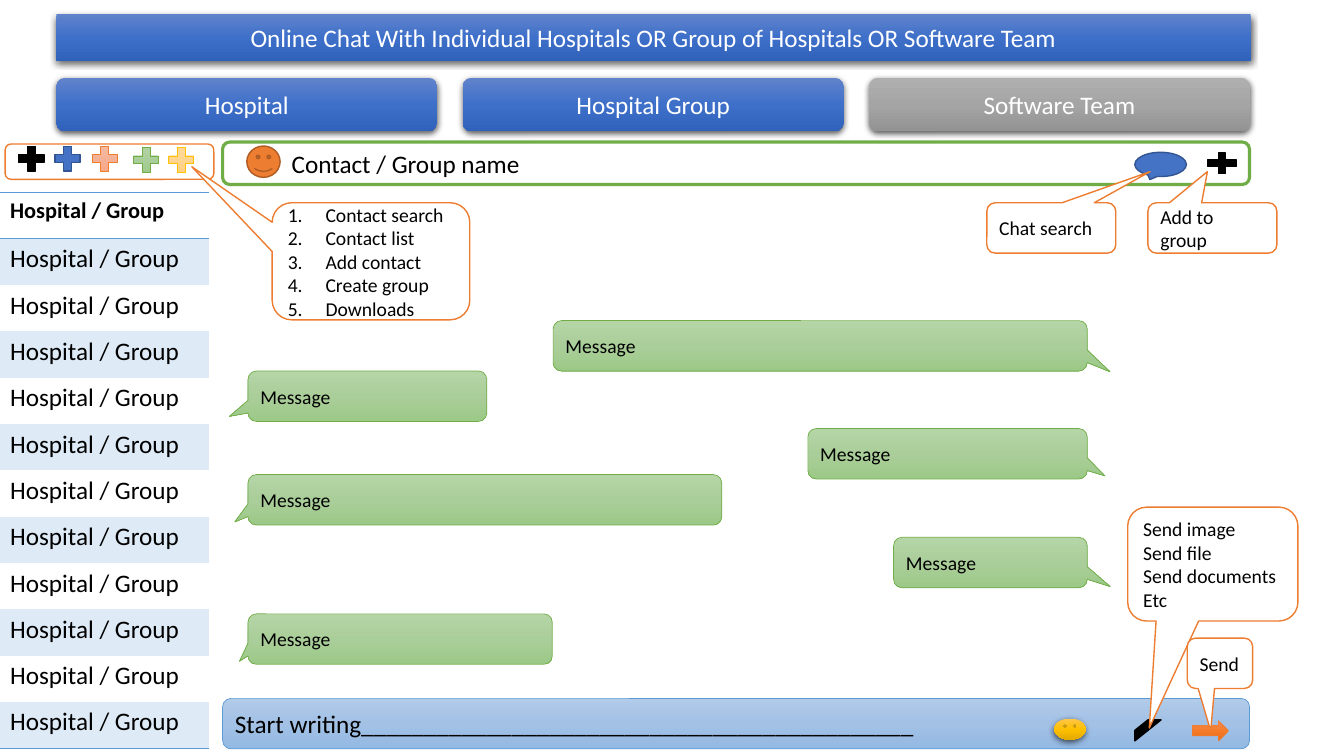
from copy import deepcopy

from lxml.etree import SubElement
from pptx import Presentation
from pptx.dml.color import RGBColor
from pptx.enum.shapes import MSO_SHAPE as SHAPE
from pptx.enum.text import MSO_ANCHOR as ANCHOR, PP_ALIGN as ALIGN
from pptx.oxml import parse_xml
from pptx.oxml.ns import nsdecls, qn
from pptx.util import Cm, Pt

rgb = RGBColor.from_string
BLACK, WHITE = rgb("000000"), rgb("FFFFFF")
ORANGE, DARK_ORANGE = rgb("ED7D31"), rgb("AF5C24")
BLUE, DARK_BLUE = rgb("4472C4"), rgb("325491")
SKY, PALE_SKY = rgb("5B9BD5"), rgb("DEEBF7")
GREEN, GOLD = rgb("70AD47"), rgb("FFC000")

# Three-stop gradients, top to bottom
BLUE_GRAD = (rgb("6183CB"), rgb("3E70CA"), rgb("3062BB"))
GREY_GRAD = (rgb("AFAFAF"), rgb("A5A5A5"), rgb("939393"))
SKY_GRAD = (rgb("B1CBE9"), rgb("A3C1E5"), rgb("93B9E4"))
GREEN_GRAD = (rgb("B5D5A7"), rgb("AACE9A"), rgb("9CC987"))
ORANGE_GRAD = (rgb("F18C57"), rgb("F67B28"), rgb("E56C19"))
PEACH_GRAD = (rgb("F7BDA5"), rgb("F5B196"), rgb("F8A582"))
GOLD_GRAD = (rgb("FFC64B"), rgb("FFC000"), rgb("E3AB00"))
CREAM_GRAD = (rgb("FFDB9E"), rgb("FFD590"), rgb("FFD07C"))

FONT = "Calibri"
BAR_LEFT, BAR_WIDTH = 5.61, 25.88
MESSAGE_LEFT, MESSAGE_RIGHT = 6.25, 27.4


def paint(sp, fill, line=None, width=1):
    """Fill a shape with a colour or gradient; without a line it gets a shadow."""
    if isinstance(fill, RGBColor):
        sp.fill.solid()
        sp.fill.fore_color.rgb = fill
    else:
        sp.fill.gradient()
        sp.fill.gradient_angle = 270
        stops = sp._element.spPr.find(".//" + qn("a:gsLst"))
        stops.insert(1, deepcopy(stops[0]))
        for stop, position, color in zip(sp.fill.gradient_stops, (0, 0.5, 1), fill):
            stop.position = position
            stop.color.rgb = color
    sp.shadow.inherit = False
    if line is None:
        sp.line.fill.background()
        add_shadow(sp)
    else:
        sp.line.color.rgb = line
        sp.line.width = Pt(width)


def add_shadow(sp):
    """Put a soft shadow under a shape."""
    effects = sp._element.spPr.find(qn("a:effectLst"))
    effects.append(parse_xml(
        f'<a:outerShdw {nsdecls("a")} blurRad="57150" dist="19050" dir="5400000" '
        'algn="ctr" rotWithShape="0"><a:srgbClr val="000000">'
        '<a:alpha val="63000"/></a:srgbClr></a:outerShdw>'))


def write(sp, lines, size=14, color=BLACK, align=ALIGN.LEFT, numbered=False):
    """Write one paragraph per line into a shape."""
    tf = sp.text_frame
    tf.word_wrap = True
    tf.vertical_anchor = ANCHOR.MIDDLE
    tf.text = "\n".join(lines)
    for p in tf.paragraphs:
        p.alignment = align
        p.font.name, p.font.size, p.font.color.rgb = FONT, Pt(size), color
        if numbered:
            pPr = p._p.get_or_add_pPr()
            pPr.set("marL", str(Cm(0.95)))
            pPr.set("indent", str(-Cm(0.95)))
            pPr.insert(0, parse_xml(
                f'<a:buAutoNum {nsdecls("a")} type="arabicPeriod"/>'))


def add_shape(s, kind, box, fill, line=None, width=1):
    """Add a painted preset shape; box is left, top, width, height in cm."""
    sp = s.shapes.add_shape(kind, *map(Cm, box))
    paint(sp, fill, line, width)
    return sp


def add_title(s, text):
    """Turn the title placeholder into the rounded heading bar."""
    sp = s.shapes.title
    sp.left, sp.top, sp.width, sp.height = map(Cm, (1.42, 0.36, 30.1, 1.17))
    sp._element.spPr.insert(1, parse_xml(
        f'<a:prstGeom {nsdecls("a")} prst="roundRect"><a:avLst/></a:prstGeom>'))
    paint(sp, BLUE_GRAD)
    write(sp, [text], 18, WHITE, ALIGN.CENTER)


def add_bar(s, top, height, text, fill, line, width, margin=0.25):
    """Add a wide chat bar with left-aligned text."""
    sp = add_shape(s, SHAPE.ROUNDED_RECTANGLE, (BAR_LEFT, top, BAR_WIDTH, height),
                   fill, line, width)
    write(sp, [text], 18)
    sp.text_frame.margin_left = Cm(margin)


def add_callout(s, box, tip, lines, fill=WHITE, line=ORANGE, width=1, numbered=False):
    """Add a rounded callout whose tip is relative to its centre."""
    sp = add_shape(s, SHAPE.ROUNDED_RECTANGULAR_CALLOUT, box, fill, line, width)
    sp.adjustments[0], sp.adjustments[1] = tip
    write(sp, lines, numbered=numbered)


def add_message(s, top, width, tip, sent=False):
    """Add a chat message, at the right if sent and at the left if received."""
    left = MESSAGE_RIGHT - width if sent else MESSAGE_LEFT
    add_callout(s, (left, top, width, 1.27), tip, ["Message"], GREEN_GRAD, GREEN, 0.5)


def add_border(cell, side):
    """Draw a thin border on the T or B side of a cell."""
    ln = SubElement(cell._tc.get_or_add_tcPr(), qn(f"a:ln{side}"), w=str(Pt(1)))
    SubElement(SubElement(ln, qn("a:solidFill")), qn("a:srgbClr"), val=str(SKY))


def add_contacts(s, rows):
    """Add the banded contact list."""
    frame = s.shapes.add_table(rows, 1, 0, Cm(4.85), Cm(5.26), Cm(1.168 * rows))
    style = next(frame._element.iter(qn("a:tableStyleId")))
    style.text = "{2D5ABB26-0587-4C30-8999-92F81FD0307C}"
    table = frame.table
    table.first_row = table.horz_banding = False
    for i in range(rows):
        cell = table.cell(i, 0)
        cell.text = "Hospital / Group"
        font = cell.text_frame.paragraphs[0].font
        font.name, font.size, font.bold = FONT, Pt(18 if i else 16), i == 0
        font.color.rgb = BLACK
        if i == 0:
            add_border(cell, "T")
        if i in (0, rows - 1):
            add_border(cell, "B")
        if i % 2:
            cell.fill.solid()
            cell.fill.fore_color.rgb = PALE_SKY
        else:
            cell.fill.background()


def main():
    """Build the chat screen slide."""
    prs = Presentation()
    prs.slide_width, prs.slide_height = Cm(33.87), Cm(19.05)
    s = prs.slides.add_slide(prs.slide_layouts[5])

    add_title(s, "Online Chat With Individual Hospitals OR Group of Hospitals"
                 " OR Software Team")
    tabs = (("Hospital", BLUE_GRAD), ("Hospital Group", BLUE_GRAD),
            ("Software Team", GREY_GRAD))
    for i, (name, fill) in enumerate(tabs):
        tab = add_shape(s, SHAPE.ROUNDED_RECTANGLE, (1.42 + 10.24 * i, 1.96, 9.6, 1.35), fill)
        write(tab, [name], 18, WHITE, ALIGN.CENTER)

    # Writing bar with its icons
    add_bar(s, 17.6, 1.27, "Start writing" + "_" * 44, SKY_GRAD, SKY, 0.5)
    add_shape(s, SHAPE.DIAGONAL_STRIPE, (28.6, 18.14, 0.66, 0.53), BLACK, BLACK)
    add_callout(s, (28.42, 12.78, 4.29, 2.87), (-0.373, 1.44),
                ["Send image", "Send file", "Send documents", "Etc"])
    add_shape(s, SHAPE.RIGHT_ARROW, (30.05, 18.16, 0.91, 0.51), ORANGE_GRAD, ORANGE, 0.5)
    add_callout(s, (29.92, 16.08, 1.65, 1.27), (-0.141, 1.344), ["Send"])
    add_shape(s, SHAPE.SMILEY_FACE, (26.57, 18.11, 0.79, 0.53), GOLD_GRAD)

    # Contact bar with its icons
    add_bar(s, 3.58, 1.07, "Contact / Group name", WHITE, GREEN, 2.25, margin=1.69)
    add_shape(s, SHAPE.SMILEY_FACE, (6.22, 3.68, 0.84, 0.79), ORANGE, DARK_ORANGE)
    add_shape(s, SHAPE.MATH_PLUS, (30.3, 3.76, 0.99, 0.71), BLACK, BLACK)
    add_callout(s, (28.93, 5.11, 3.25, 1.27), (-0.039, -1.118), ["Add to group"])
    add_shape(s, SHAPE.OVAL_CALLOUT, (28.6, 3.84, 1.3, 0.61), BLUE, DARK_BLUE)
    add_callout(s, (24.87, 5.11, 3.25, 1.27), (0.766, -1.118), ["Chat search"])

    add_message(s, 8.08, 13.46, (0.543, 0.517), sent=True)
    add_message(s, 9.35, 6.02, (-0.578, 0.401))
    add_message(s, 10.8, 7.04, (0.564, 0.44), sent=True)
    add_message(s, 11.96, 11.94, (-0.528, 0.44))
    add_message(s, 13.54, 4.88, (0.619, 0.478), sent=True)
    add_message(s, 15.47, 7.67, (-0.528, 0.44))

    # Toolbar of plus buttons and its menu
    add_shape(s, SHAPE.ROUNDED_RECTANGLE, (0.13, 3.63, 5.26, 0.89), WHITE, ORANGE)
    add_callout(s, (6.86, 5.11, 4.98, 2.95), (-0.907, -0.808),
                ["Contact search", "Contact list", "Add contact", "Create group",
                 "Downloads"], numbered=True)
    for left, top, fill, line, width in (
            (0.36, 3.58, BLACK, BLACK, 1), (1.27, 3.58, BLUE, DARK_BLUE, 1),
            (2.21, 3.58, PEACH_GRAD, ORANGE, 0.5), (3.25, 3.61, GREEN_GRAD, GREEN, 0.5),
            (4.14, 3.61, CREAM_GRAD, GOLD, 0.5)):
        add_shape(s, SHAPE.MATH_PLUS, (left, top, 0.86, 0.84), fill, line, width)

    add_contacts(s, 12)
    prs.save("out.pptx")


main()
